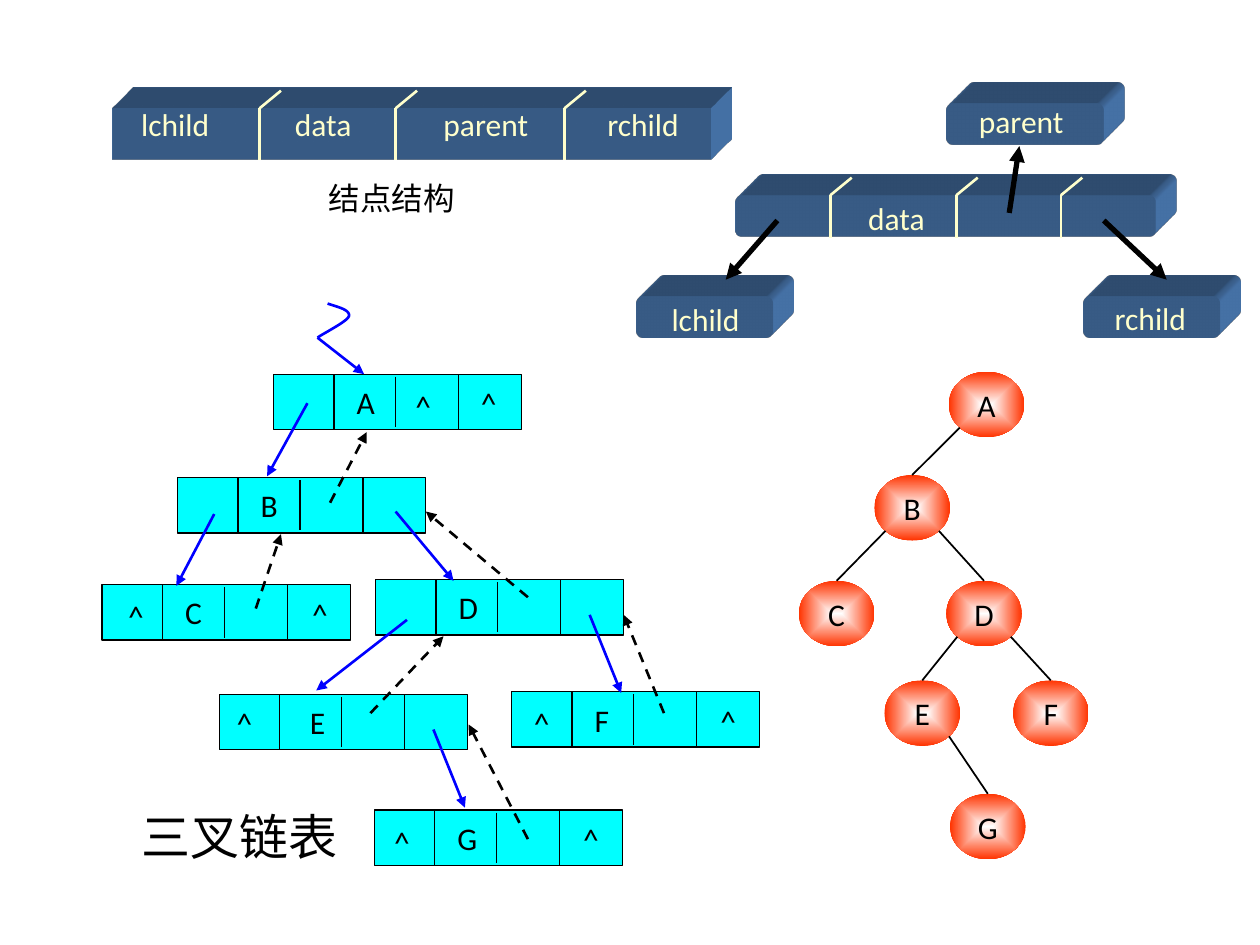
from math import sqrt

from pptx import Presentation
from pptx.dml.color import RGBColor
from pptx.enum.dml import MSO_LINE
from pptx.enum.shapes import MSO_CONNECTOR, MSO_SHAPE
from pptx.enum.text import MSO_ANCHOR, PP_ALIGN
from pptx.oxml import parse_xml
from pptx.oxml.ns import nsdecls, qn
from pptx.util import Inches, Pt

BLACK = RGBColor(0x00, 0x00, 0x00)
WHITE = RGBColor(0xFF, 0xFF, 0xFF)
CYAN = RGBColor(0x00, 0xFF, 0xFF)
BLUE = RGBColor(0x00, 0x00, 0xFF)
RED = RGBColor(0xFF, 0x33, 0x00)
STEEL = RGBColor(0x4F, 0x81, 0xBD)
CREAM = RGBColor(0xFF, 0xFF, 0xCC)

NODE_WIDTH, NODE_HEIGHT = 1.97, 0.44
TREE_WIDTH, TREE_HEIGHT = 0.6, 0.52

# letter: left, top, left edges of the empty-pointer signs
LIST_NODES = {
    "A": (1.37, 0.57, (0.99, 1.51)),
    "B": (0.61, 1.39, ()),
    "C": (0.01, 2.24, (0.07, 1.53)),
    "D": (2.18, 2.2, ()),
    "E": (0.94, 3.11, (0,)),
    "F": (3.26, 3.09, (0.04, 1.52)),
    "G": (2.17, 4.03, (0.02, 1.52)),
}
CHILD_POINTERS = [
    (1.64, 0.8, 1.32, 1.38), (0.9, 1.68, 0.6, 2.25), (2.43, 2.52, 1.71, 3.08),
    (2.34, 1.66, 2.8, 2.21), (3.88, 2.48, 4.13, 3.1), (2.64, 3.39, 2.89, 4.01),
    (1.72, 0.28, 2.09, 0.57),
]
PARENT_POINTERS = [
    (1.82, 1.59, 2.11, 1.03), (1.23, 2.43, 1.43, 1.84), (3.39, 2.34, 2.58, 1.66),
    (2.14, 3.26, 2.72, 2.65), (3.39, 4.26, 2.92, 3.35), (4.47, 3.26, 4.15, 2.48),
]
HEAD_CURVES = [
    ((1.8, 0.01), (1.89, 0.04), (1.98, 0.06), (1.97, 0.11)),
    ((1.97, 0.11), (1.96, 0.15), (1.76, 0.25), (1.72, 0.28)),
]
TREE_NODES = {
    "A": (1.23, 0.05), "B": (0.64, 0.87), "C": (0.04, 1.71), "D": (1.21, 1.71),
    "E": (0.72, 2.5), "F": (1.74, 2.5), "G": (1.24, 3.4),
}
TREE_EDGES = ["AB", "BC", "BD", "DE", "DF", "EG"]


def write(shape, text, size=18, color=BLACK, align=PP_ALIGN.CENTER,
          anchor=MSO_ANCHOR.MIDDLE, margins=(0.1, 0.1)):
    frame = shape.text_frame
    frame.word_wrap = True
    frame.vertical_anchor = anchor
    frame.margin_left, frame.margin_right = map(Inches, margins)
    paragraph = frame.paragraphs[0]
    paragraph.alignment = align
    run = paragraph.add_run()
    run.text = text
    run.font.name = "Calibri"
    run.font.size = Pt(size)
    run.font.color.rgb = color
    return paragraph


def add_label(slide, left, top, width, height, text, **text_format):
    box = slide.shapes.add_textbox(*map(Inches, (left, top, width, height)))
    return write(box, text, **text_format)


def add_block(slide, kind, left, top, width, height, fill=None):
    shape = slide.shapes.add_shape(kind, *map(Inches, (left, top, width, height)))
    shape.shadow.inherit = False
    shape.line.fill.background()
    if fill is not None:
        shape.fill.solid()
        shape.fill.fore_color.rgb = fill
    return shape


def add_line(slide, x1, y1, x2, y2, color=BLACK, width=0.75, dashed=False, arrow=False):
    line = slide.shapes.add_connector(
        MSO_CONNECTOR.STRAIGHT, *map(Inches, (x1, y1, x2, y2)))
    line.line.color.rgb = color
    line.line.width = Pt(width)
    if dashed:
        line.line.dash_style = MSO_LINE.DASH
    if arrow:
        line.line._get_or_add_ln().append(
            parse_xml(f'<a:tailEnd {nsdecls("a")} type="triangle"/>'))
    line.element.spPr.append(parse_xml(f'<a:effectLst {nsdecls("a")}/>'))
    return line


def add_slab(slide, kind, left, top, width, height):
    """Add a block extruded towards the top right."""
    slab = add_block(slide, kind, left, top, width, height, STEEL)
    properties = slab.element.spPr
    properties.append(parse_xml(
        f'<a:scene3d {nsdecls("a")}><a:camera prst="legacyObliqueTopRight"/>'
        '<a:lightRig rig="legacyFlat3" dir="b"/></a:scene3d>'))
    properties.append(parse_xml(
        f'<a:sp3d {nsdecls("a")} extrusionH="430200" prstMaterial="legacyMatte">'
        '<a:bevelT w="13500" h="13500" prst="angle"/>'
        '<a:bevelB w="13500" h="13500" prst="angle"/>'
        f'<a:extrusionClr><a:srgbClr val="{STEEL}"/></a:extrusionClr></a:sp3d>'))
    return slab


def add_slab_dividers(slide, xs, top, height):
    for x in xs:
        add_line(slide, x, top + height, x, top, CREAM, 1.5)
        add_line(slide, x, top, x + 0.17, top - 0.14, CREAM, 1.5)


def add_list_node(slide, left, top, letter, null_lefts):
    node = add_block(slide, MSO_SHAPE.RECTANGLE, left, top, NODE_WIDTH, NODE_HEIGHT, CYAN)
    node.line.color.rgb = BLACK
    node.line.width = Pt(0.75)
    indent = 0.72 if letter == "E" else 0.66
    write(node, letter, align=PP_ALIGN.LEFT, margins=(indent, 0))
    for offset, inset in ((0.48, 0), (0.97, 0.02), (1.47, 0)):
        x = left + offset
        add_line(slide, x, top + inset, x, top + NODE_HEIGHT - inset)
    for offset in null_lefts:
        lift = 0.02 if offset > 1 or letter == "E" else 0
        add_label(slide, left + offset, top - lift, 0.4, 0.5, "^")


def bezier_point(start, control1, control2, end, t):
    weights = ((1 - t) ** 3, 3 * t * (1 - t) ** 2, 3 * t * t * (1 - t), t ** 3)
    points = (start, control1, control2, end)
    return tuple(sum(w * p[axis] for w, p in zip(weights, points)) for axis in (0, 1))


def draw_linked_list(slide, left, top):
    for letter, (x, y, null_lefts) in LIST_NODES.items():
        add_list_node(slide, left + x, top + y, letter, null_lefts)
    pointers = [(p, BLUE, False) for p in CHILD_POINTERS]
    pointers += [(p, BLACK, True) for p in PARENT_POINTERS]
    for (x1, y1, x2, y2), color, dashed in pointers:
        add_line(slide, left + x1, top + y1, left + x2, top + y2,
                 color, 1.5, dashed=dashed, arrow=True)
    points = [bezier_point(*curve, step / 10) for curve in HEAD_CURVES for step in range(11)]
    points = [(Inches(left + x), Inches(top + y)) for x, y in points]
    builder = slide.shapes.build_freeform(*points[0])
    builder.add_line_segments(points[1:], close=False)
    head = builder.convert_to_shape()
    head.shadow.inherit = False
    head.fill.background()
    head.line.color.rgb = BLUE
    head.line.width = Pt(1.5)
    add_label(slide, left + 0.17, top + 3.95, 1.86, 0.57, "三叉链表", size=28)


def add_tree_node(slide, left, top, letter):
    node = add_block(slide, MSO_SHAPE.OVAL, left, top, TREE_WIDTH, TREE_HEIGHT)
    node.fill.gradient()
    for stop, color in zip(node.fill.gradient_stops, (WHITE, RED)):
        stop.color.rgb = color
    gradient = node.element.spPr.find(qn("a:gradFill"))
    gradient.replace(gradient.find(qn("a:lin")), parse_xml(
        f'<a:path {nsdecls("a")} path="shape">'
        '<a:fillToRect l="50000" t="50000" r="50000" b="50000"/></a:path>'))
    write(node, letter, margins=(0, 0))
    return node


def draw_tree(slide, left, top):
    nodes = {letter: add_tree_node(slide, left + x, top + y, letter)
             for letter, (x, y) in TREE_NODES.items()}
    for parent, child in TREE_EDGES:
        (x1, y1), (x2, y2) = TREE_NODES[parent], TREE_NODES[child]
        side = 1 if x2 > x1 else -1
        start_x = left + x1 + TREE_WIDTH / 2 * (1 + side / sqrt(2))
        start_y = top + y1 + TREE_HEIGHT / 2 * (1 + 1 / sqrt(2))
        edge = add_line(slide, start_x, start_y, left + x2 + TREE_WIDTH / 2, top + y2, width=1)
        edge.end_connect(nodes[child], 0)


def draw_node_links(slide, left, top):
    for x, y, width in ((2.51, 0.12, 1.25), (0.84, 0.85, 3.33),
                        (3.6, 1.65, 1.08), (0.05, 1.65, 1.08)):
        add_slab(slide, MSO_SHAPE.ROUNDED_RECTANGLE, left + x, top + y, width, 0.33)
    add_slab_dividers(slide, [left + x for x in (1.59, 2.59, 3.42)], top + 0.85, 0.34)
    for text, x, y, width in (("parent", 2.53, 0.01, 1.15), ("data", 1.7, 0.78, 0.83),
                              ("lchild", 0.06, 1.58, 1.08), ("rchild", 3.56, 1.57, 1.14)):
        add_label(slide, left + x, top + y, width, 0.5, text, color=CREAM)
    for x1, y1, x2, y2 in ((1.17, 1.05, 0.76, 1.52), (3.76, 1.05, 4.26, 1.52),
                           (3.01, 0.99, 3.09, 0.46)):
        add_line(slide, left + x1, top + y1, left + x2, top + y2, width=3, arrow=True)


def draw_node_structure(slide, left, top):
    add_slab(slide, MSO_SHAPE.RECTANGLE, left, top + 0.16, 4.75, 0.41)
    fields = add_label(slide, left + 0.1, top + 0.08, 4.6, 0.4,
                       "\t".join(("lchild", "data", "parent", "rchild")),
                       color=CREAM, align=PP_ALIGN.LEFT, margins=(0.13, 0))
    stops = "".join(f'<a:tab pos="{Inches(x)}" algn="l"/>' for x in (1.22, 2.4, 3.7))
    fields._p.get_or_add_pPr().append(
        parse_xml(f'<a:tabLst {nsdecls("a")}>{stops}</a:tabLst>'))
    add_slab_dividers(slide, [left + x for x in (1.17, 2.25, 3.59)], top + 0.16, 0.41)
    add_label(slide, left + 1.62, top + 0.67, 1.71, 0.5, "结点结构",
              align=PP_ALIGN.LEFT, anchor=MSO_ANCHOR.TOP)


def main():
    presentation = Presentation()
    presentation.slide_width, presentation.slide_height = Inches(10), Inches(7.5)
    slide = presentation.slides.add_slide(presentation.slide_layouts[6])
    draw_linked_list(slide, 0.8, 2.4)
    draw_tree(slide, 6.3, 2.9)
    draw_node_links(slide, 5, 0.7)
    draw_node_structure(slide, 0.89, 0.7)
    presentation.save("out.pptx")


if __name__ == "__main__":
    main()
